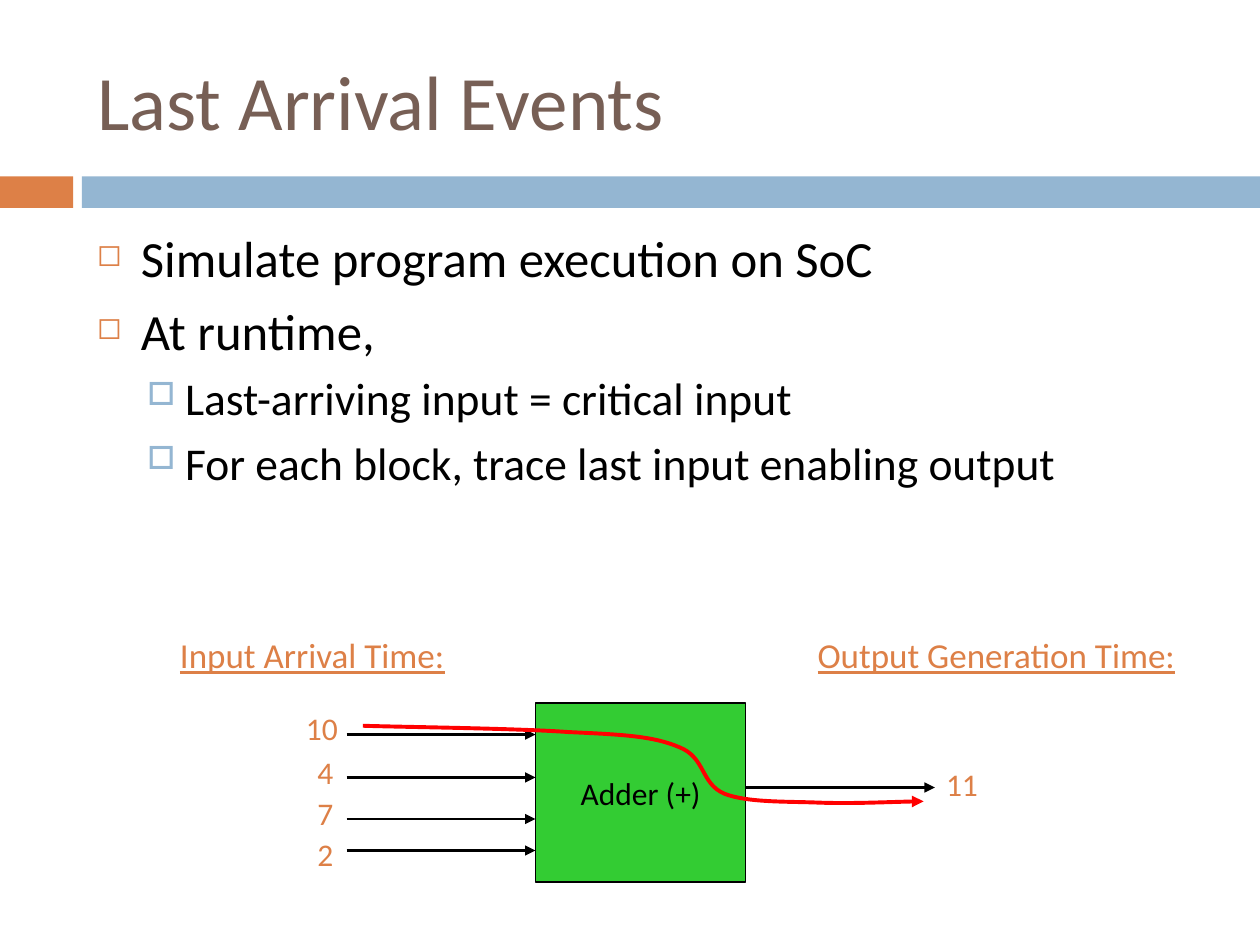
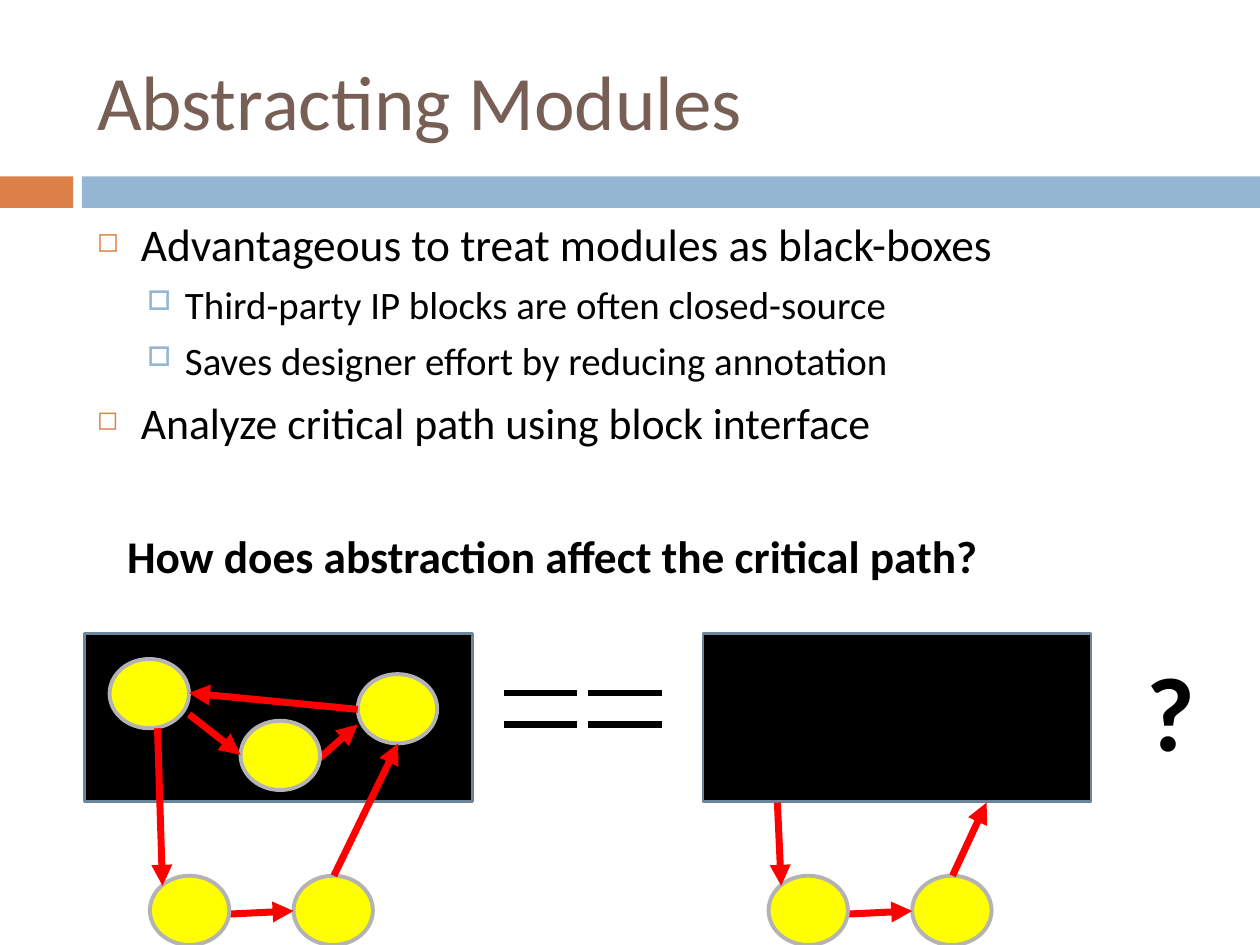
from dataclasses import dataclass

from lxml.etree import SubElement
from pptx import Presentation
from pptx.dml.color import RGBColor as RGB
from pptx.enum.shapes import MSO_CONNECTOR as CONNECTOR, MSO_SHAPE as SHAPE
from pptx.enum.text import MSO_ANCHOR as ANCHOR, MSO_AUTO_SIZE as AUTO, PP_ALIGN as ALIGN
from pptx.oxml.ns import qn
from pptx.util import Inches, Pt


@dataclass(frozen=True)
class Theme:
    font: str = "Calibri"
    title: str = "775F55"
    orange: str = "DD8047"
    blue: str = "94B6D2"
    black: str = "000000"
    adder: str = "33CC33"
    critical: str = "FF0000"
    node: str = "FFFF00"
    node_edge: str = "B3B3B3"
    module_edge: str = "6B859A"
    title_size: float = 44
    heading_size: float = 20
    label_size: float = 18
    question_size: float = 60


@dataclass(frozen=True)
class Bullet:
    char: str
    color: str
    percent: int
    left: float
    hanging: float
    before: float


THEME = Theme()
BULLETS = (
    Bullet("◻", THEME.orange, 60, 0.35, 0.35, 7),
    Bullet("□", THEME.blue, 70, 0.7, 0.3, 5.5),
)


class Deck:
    def __init__(self, theme):
        self.theme = theme
        self.prs = Presentation()
        self.prs.slide_width, self.prs.slide_height = Inches(10), Inches(7.5)
        self.slide = None

    def new_slide(self, title):
        t = self.theme
        self.slide = self.prs.slides.add_slide(self.prs.slide_layouts[5])
        # Two-part band under the title
        self.shape(SHAPE.RECTANGLE, 0, 1.4, 0.58, 0.25, t.orange)
        self.shape(SHAPE.RECTANGLE, 0.65, 1.4, 9.35, 0.25, t.blue)
        # Title
        heading = self.slide.shapes.title
        heading.left, heading.top = Inches(0.67), Inches(0.25)
        heading.width, heading.height = Inches(8.92), Inches(1.08)
        frame = heading.text_frame
        frame.auto_size = AUTO.NONE
        frame.vertical_anchor = ANCHOR.MIDDLE
        self.set_text(frame.paragraphs[0], title, t.title_size, t.title)

    def set_text(self, para, text, size, color, bold=False, underline=False, align=ALIGN.LEFT):
        para.text = text
        para.alignment = align
        font = para.font
        font.name, font.size = self.theme.font, Pt(size)
        font.bold, font.underline = bold, underline
        font.color.rgb = RGB.from_string(color)

    def stroke(self, line, color, width, arrow=False):
        line.color.rgb = RGB.from_string(color)
        line.width = Pt(width)
        if arrow:
            ln = line._get_or_add_ln()
            SubElement(ln, qn("a:tailEnd"), type="triangle")

    def shape(self, kind, x, y, w, h, fill, edge=None, edge_width=0.75):
        shape = self.slide.shapes.add_shape(kind, Inches(x), Inches(y), Inches(w), Inches(h))
        shape.shadow.inherit = False
        shape.fill.solid()
        shape.fill.fore_color.rgb = RGB.from_string(fill)
        if edge:
            self.stroke(shape.line, edge, edge_width)
        else:
            shape.line.fill.background()
        return shape

    def node(self, x, y):
        self.shape(SHAPE.OVAL, x, y, 0.63, 0.55, self.theme.node, self.theme.node_edge, 2.25)

    def line(self, start, end, color, width, arrow=True):
        link = self.slide.shapes.add_connector(
            CONNECTOR.STRAIGHT, *(Inches(v) for v in (*start, *end)))
        self.stroke(link.line, color, width, arrow)
        SubElement(link._element.spPr, qn("a:effectLst"))

    def critical(self, start, end):
        self.line(start, end, self.theme.critical, 4)

    def curve(self, points, color, width):
        """Draw cubic segments: a start point, then three points per segment."""
        emu = [(Inches(x), Inches(y)) for x, y in points]
        builder = self.slide.shapes.build_freeform(*emu[0])
        builder.add_line_segments(emu[1:], close=False)
        trace = builder.convert_to_shape()
        trace.shadow.inherit = False
        trace.fill.background()
        self.stroke(trace.line, color, width, arrow=True)
        # Join every three straight steps into one cubic step
        steps = list(trace._element.iter(qn("a:lnTo")))
        for i in range(0, len(steps), 3):
            cubic = SubElement(steps[i].getparent(), qn("a:cubicBezTo"))
            for step in steps[i:i + 3]:
                cubic.append(step[0])
                step.getparent().remove(step)

    def text(self, x, y, w, h, text, size, color, wrap=False, **style):
        box = self.slide.shapes.add_textbox(Inches(x), Inches(y), Inches(w), Inches(h))
        box.text_frame.word_wrap = wrap
        self.set_text(box.text_frame.paragraphs[0], text, size, color, **style)

    def bullets(self, x, y, w, h, items):
        """Each item is (level, size, text)."""
        box = self.slide.shapes.add_textbox(Inches(x), Inches(y), Inches(w), Inches(h))
        frame = box.text_frame
        frame.word_wrap = True
        for i, (level, size, text) in enumerate(items):
            para = frame.add_paragraph() if i else frame.paragraphs[0]
            mark = BULLETS[level]
            props = para._p.get_or_add_pPr()
            props.set("marL", str(Inches(mark.left)))
            props.set("indent", str(-Inches(mark.hanging)))
            SubElement(SubElement(props, qn("a:buClr")), qn("a:srgbClr"), val=mark.color)
            SubElement(props, qn("a:buSzPct"), val=str(mark.percent * 1000))
            SubElement(props, qn("a:buChar"), char=mark.char)
            para.level = level
            if i:
                para.space_before = Pt(mark.before)
            self.set_text(para, text, size, self.theme.black)
        return frame


def last_arrival_events(deck):
    t = deck.theme
    deck.new_slide("Last Arrival Events")

    # Adder block
    adder = deck.shape(SHAPE.RECTANGLE, 4.25, 5.58, 1.67, 1.42, t.adder, t.black)
    adder.text_frame.word_wrap = False
    adder.text_frame.vertical_anchor = ANCHOR.MIDDLE
    deck.set_text(adder.text_frame.paragraphs[0], "Adder (+)", t.label_size, t.black,
                  align=ALIGN.CENTER)

    deck.bullets(0.67, 1.75, 8.92, 4.92, [
        (0, 29, "Simulate program execution on SoC"),
        (0, 29, "At runtime,"),
        (1, 26, "Last-arriving input = critical input"),
        (1, 26, "For each block, trace last input enabling output"),
    ])

    # Inputs and output with their times
    for arrow_y in (5.83, 6.17, 6.5, 6.75):
        deck.line((2.75, arrow_y), (4.25, arrow_y), t.black, 1.5)
    deck.line((5.92, 6.25), (7.42, 6.25), t.black, 1.5)
    for time, x, y, w in (("10", 2.33, 5.58, 0.48), ("4", 2.42, 5.93, 0.34),
                          ("7", 2.42, 6.25, 0.34), ("2", 2.42, 6.58, 0.34),
                          ("11", 7.41, 6.02, 0.48)):
        deck.text(x, y, w, 0.4, time, t.label_size, t.orange)

    # Critical path through the adder
    deck.curve([(2.88, 5.76),
                (3.15, 5.77), (4.09, 5.78), (4.51, 5.81),
                (4.93, 5.83), (5.18, 5.84), (5.39, 5.93),
                (5.6, 6.01), (5.56, 6.22), (5.75, 6.3),
                (5.93, 6.37), (6.23, 6.36), (6.49, 6.37),
                (6.76, 6.38), (7.15, 6.36), (7.33, 6.36)], t.critical, 2.25)

    for heading, x, w in (("Input Arrival Time:", 1.33, 2.62),
                          ("Output Generation Time:", 6.39, 3.47)):
        deck.text(x, 4.98, w, 0.44, heading, t.heading_size, t.orange, underline=True)


def abstracting_modules(deck):
    t = deck.theme
    deck.new_slide("Abstracting Modules")

    body = deck.bullets(0.67, 1.67, 9.17, 3.25, [
        (0, 25.9, "Advantageous to treat modules as black-boxes"),
        (1, 22.2, "Third-party IP blocks are often closed-source"),
        (1, 22.2, "Saves designer effort by reducing annotation"),
        (0, 25, "Analyze critical path using block interface"),
    ])
    question = body.add_paragraph()
    question._p.get_or_add_pPr().set("marL", str(Inches(0.24)))
    question.space_before = Pt(45.5)
    deck.set_text(question, "How does abstraction affect the critical path?", 25.9, t.black,
                  bold=True)

    # Both modules, each with two outside nodes
    for left in (0.67, 5.58):
        deck.shape(SHAPE.RECTANGLE, left, 5.03, 3.08, 1.33, t.black, t.module_edge, 1.5)
        deck.node(left + 1.66, 6.95)
        deck.critical((left + 1.04, 7.26), (left + 1.66, 7.23))
        deck.node(left + 0.52, 6.95)

    # Inside of the open module
    deck.node(0.87, 5.23)
    deck.node(2.84, 5.35)
    deck.critical((2.43, 6.11), (2.84, 5.75))
    deck.node(1.91, 5.72)
    deck.critical((1.5, 5.67), (1.91, 5.99))
    deck.critical((2.84, 5.63), (1.5, 5.5))

    # Paths between the modules and the outside nodes
    for start, end in (((1.25, 5.78), (1.29, 7.03)), ((2.65, 6.95), (3.16, 5.9)),
                       ((6.17, 6.37), (6.2, 7.03)), ((7.56, 6.95), (7.83, 6.37))):
        deck.critical(start, end)

    # Double equals sign and question mark
    for x in (4, 4.67):
        for y in (5.5, 5.75):
            deck.line((x, y), (x + 0.58, y), t.black, 4, arrow=False)
    deck.text(9, 5.08, 0.83, 1.1, "?", t.question_size, t.black, wrap=True, bold=True)


def main():
    deck = Deck(THEME)
    last_arrival_events(deck)
    abstracting_modules(deck)
    deck.prs.save("out.pptx")


if __name__ == "__main__":
    main()
